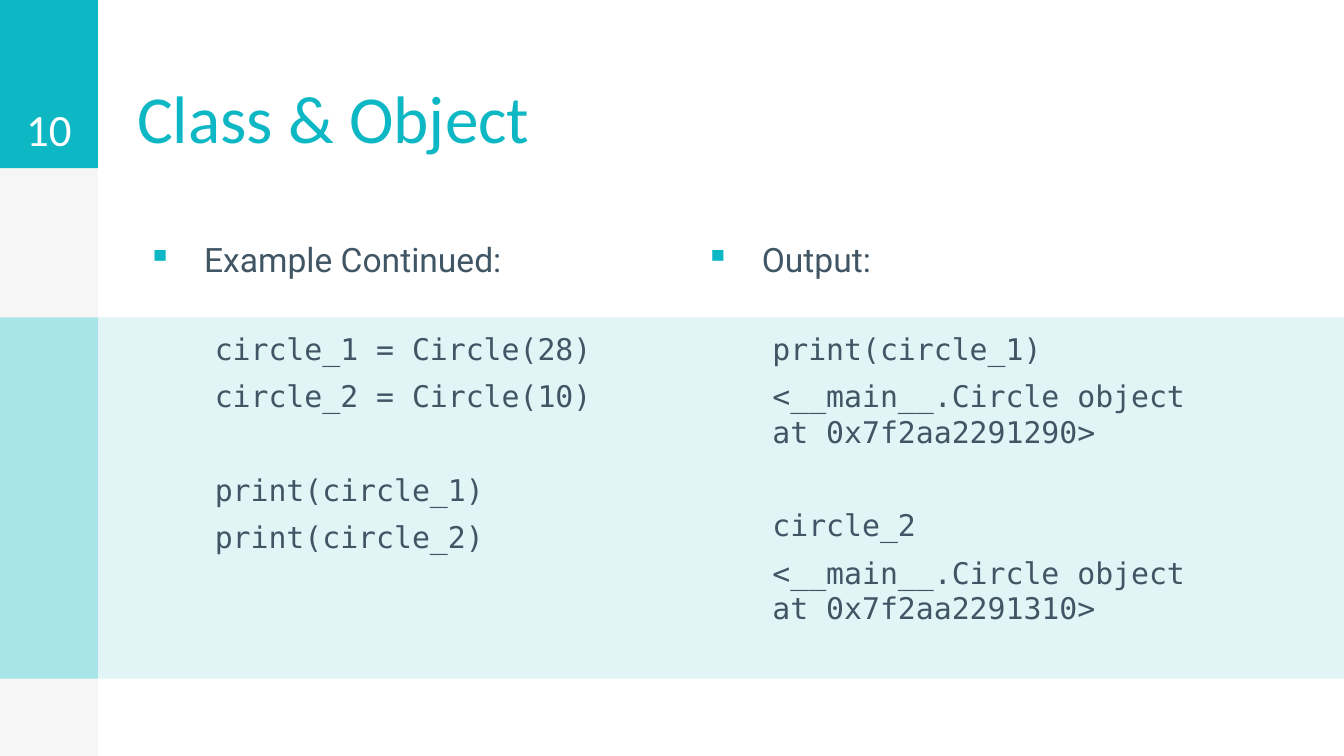
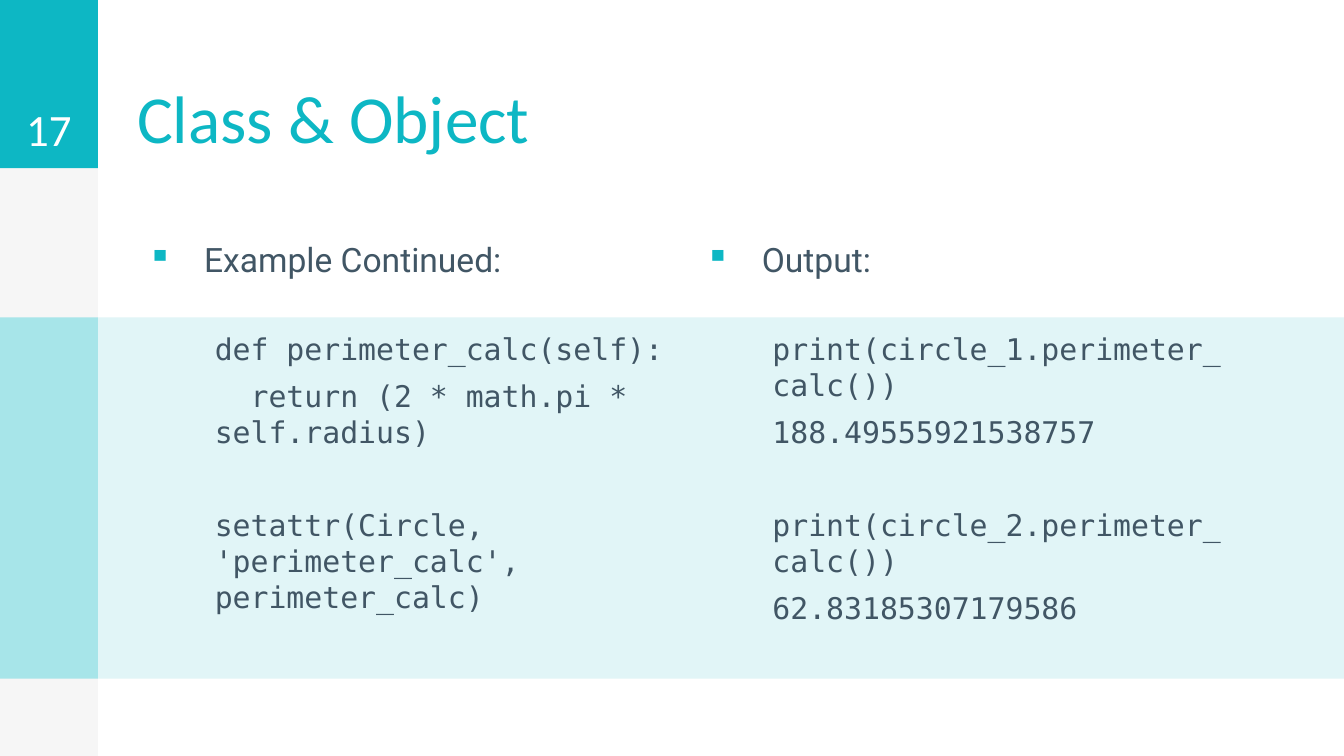
from pptx import Presentation
from pptx.dml.color import RGBColor
from pptx.enum.shapes import MSO_SHAPE
from pptx.enum.text import MSO_ANCHOR, MSO_AUTO_SIZE, PP_ALIGN
from pptx.oxml.ns import qn
from pptx.util import Cm, Pt
from lxml import etree

RECTANGLE = MSO_SHAPE.RECTANGLE
TOP, BOTTOM = MSO_ANCHOR.TOP, MSO_ANCHOR.BOTTOM
LEFT, CENTER = PP_ALIGN.LEFT, PP_ALIGN.CENTER
NO_AUTOFIT = MSO_AUTO_SIZE.NONE

TEAL, PALE_TEAL, ICE = "0DB7C4", "A7E5E9", "E1F5F7"
SLATE, LIGHT_GREY, WHITE = "415665", "F6F6F6", "FFFFFF"
HEADING_FONT, BODY_FONT, CODE_FONT = "Calibri", "Roboto", "DejaVu Sans Mono"

SLIDE_WIDTH, SLIDE_HEIGHT = Cm(25.4), Cm(14.29)
SIDEBAR_WIDTH, HEADER_HEIGHT = Cm(1.85), Cm(3.18)
BAND_TOP, BAND_HEIGHT = Cm(6), Cm(6.83)
COLUMN_LEFTS, COLUMN_WIDTH = (Cm(2.34), Cm(12.88)), Cm(10.59)
LABEL_TOP, LABEL_HEIGHT = Cm(4.27), Cm(9.42)
LINE_GAP, BLOCK_GAP = Pt(6), Pt(31)

SLIDES = [
    ("10", "Class & Object", [
        ("Example Continued:", [
            ["circle_1 = Circle(28)", "circle_2 = Circle(10)"],
            ["print(circle_1)", "print(circle_2)"],
        ]),
        ("Output:", [
            ["print(circle_1)", "<__main__.Circle object at 0x7f2aa2291290>"],
            ["circle_2", "<__main__.Circle object at 0x7f2aa2291310>"],
        ]),
    ]),
    ("17", "Class & Object", [
        ("Example Continued:", [
            ["def perimeter_calc(self):", "  return (2 * math.pi * self.radius)"],
            ["setattr(Circle, 'perimeter_calc', perimeter_calc)"],
        ]),
        ("Output:", [
            ["print(circle_1.perimeter_calc())", "188.49555921538757"],
            ["print(circle_2.perimeter_calc())", "62.83185307179586"],
        ]),
    ]),
]


def color(hex_code):
    return RGBColor.from_string(hex_code)


def add_block(slide, left, top, width, height, fill):
    block = slide.shapes.add_shape(RECTANGLE, left, top, width, height)
    block.shadow.inherit = False
    block.fill.solid()
    block.fill.fore_color.rgb = color(fill)
    block.line.fill.background()


def prepare_frame(frame, anchor):
    frame.word_wrap = True
    frame.auto_size = NO_AUTOFIT
    frame.vertical_anchor = anchor
    frame.margin_left = frame.margin_right = Cm(0.25)
    frame.margin_top = frame.margin_bottom = Cm(0.25)


def style_paragraph(paragraph, font, size, hex_code, align=LEFT):
    paragraph.alignment = align
    paragraph.font.name = font
    paragraph.font.size = Pt(size)
    paragraph.font.color.rgb = color(hex_code)


def add_text_frame(slide, left, top, width, height, anchor=TOP):
    frame = slide.shapes.add_textbox(left, top, width, height).text_frame
    prepare_frame(frame, anchor)
    return frame


def set_indent(paragraph, margin, first_line=0):
    properties = paragraph._p.get_or_add_pPr()
    properties.set("marL", str(margin))
    properties.set("indent", str(first_line))
    return properties


def add_bullet(properties):
    bullet_color = etree.SubElement(properties, qn("a:buClr"))
    etree.SubElement(bullet_color, qn("a:srgbClr"), val=TEAL)
    etree.SubElement(properties, qn("a:buChar"), char="▪")


def add_label(slide, left, text):
    frame = add_text_frame(slide, left, LABEL_TOP, COLUMN_WIDTH, LABEL_HEIGHT)
    label = frame.paragraphs[0]
    label.text = text
    label.space_before = LINE_GAP
    add_bullet(set_indent(label, Cm(1.27), Cm(-1.07)))
    style_paragraph(label, BODY_FONT, 18, SLATE)
    properties = label._p.pPr
    run_defaults = properties.find(qn("a:defRPr"))
    properties.append(run_defaults)


def add_code(slide, left, groups):
    frame = add_text_frame(slide, left, BAND_TOP, COLUMN_WIDTH, BAND_HEIGHT)
    line = frame.paragraphs[0]
    for group_index, group in enumerate(groups):
        for line_index, code in enumerate(group):
            if group_index or line_index:
                line = frame.add_paragraph()
            line.text = code
            line.level = 1
            starts_block = group_index > 0 and line_index == 0
            line.space_before = BLOCK_GAP if starts_block else LINE_GAP
            set_indent(line, Cm(1.47))
            style_paragraph(line, CODE_FONT, 16, SLATE)


def set_title(slide, text):
    title = slide.shapes.title
    title.left, title.top = COLUMN_LEFTS[0], Cm(0.03)
    title.width, title.height = Cm(21.18), HEADER_HEIGHT
    prepare_frame(title.text_frame, BOTTOM)
    title.text_frame.text = text
    style_paragraph(title.text_frame.paragraphs[0], HEADING_FONT, 36, TEAL)


def add_page_number(slide, number):
    frame = add_text_frame(slide, 0, 0, SIDEBAR_WIDTH, HEADER_HEIGHT, BOTTOM)
    frame.text = number
    style_paragraph(frame.paragraphs[0], HEADING_FONT, 24, WHITE, CENTER)


def add_frame_blocks(slide):
    add_block(slide, 0, 0, SIDEBAR_WIDTH, SLIDE_HEIGHT, LIGHT_GREY)
    add_block(slide, 0, 0, SIDEBAR_WIDTH, HEADER_HEIGHT, TEAL)
    add_block(slide, SIDEBAR_WIDTH, BAND_TOP, SLIDE_WIDTH - SIDEBAR_WIDTH, BAND_HEIGHT, ICE)
    add_block(slide, 0, BAND_TOP, SIDEBAR_WIDTH, BAND_HEIGHT, PALE_TEAL)


def main():
    deck = Presentation()
    deck.slide_width, deck.slide_height = SLIDE_WIDTH, SLIDE_HEIGHT
    title_only = deck.slide_layouts[5]
    for number, title, columns in SLIDES:
        slide = deck.slides.add_slide(title_only)
        add_frame_blocks(slide)
        set_title(slide, title)
        add_page_number(slide, number)
        for left, (label, groups) in zip(COLUMN_LEFTS, columns):
            add_label(slide, left, label)
            add_code(slide, left, groups)
    deck.save("out.pptx")


if __name__ == "__main__":
    main()
